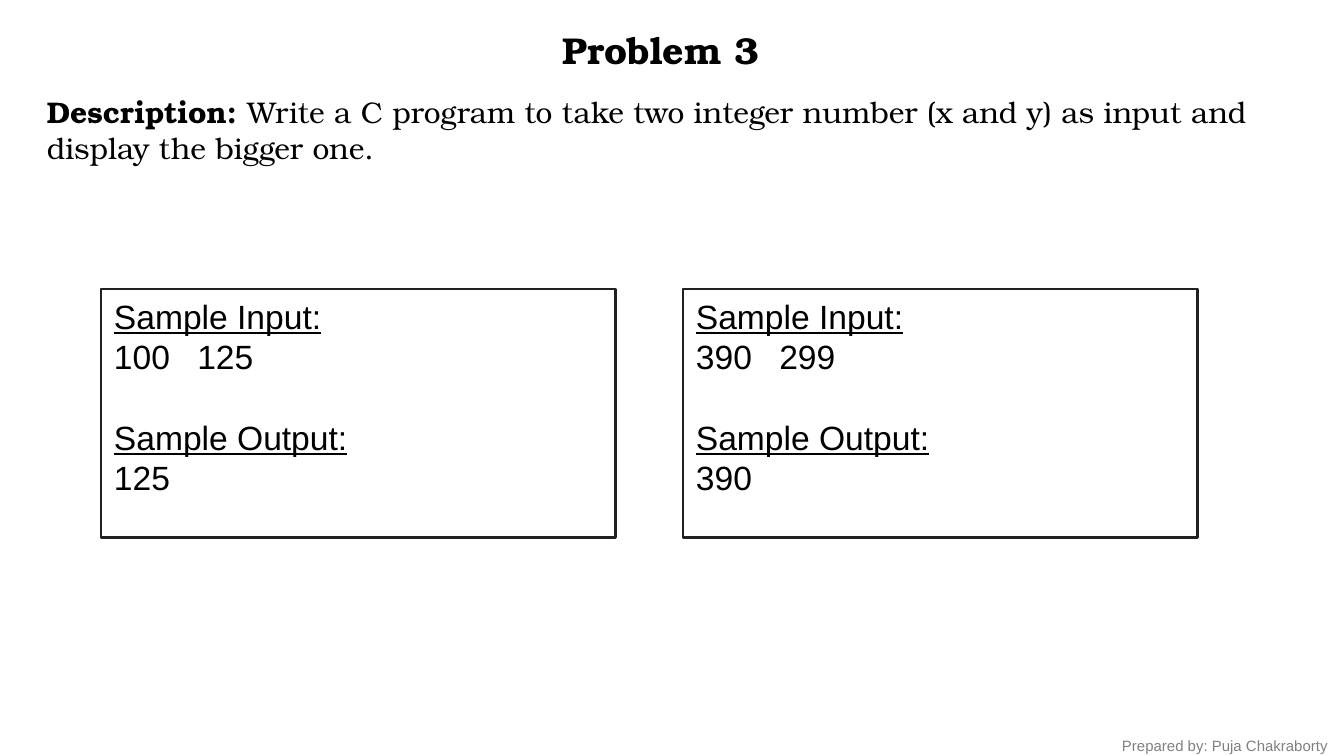
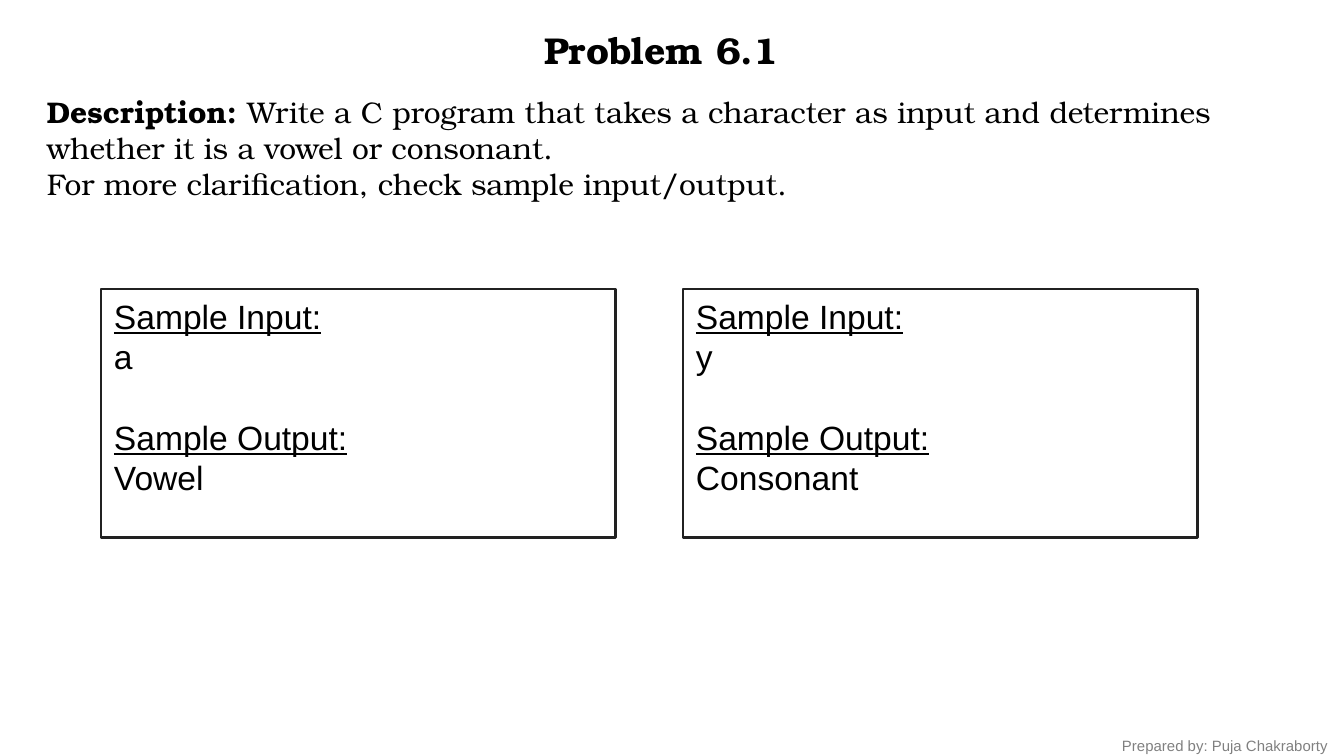
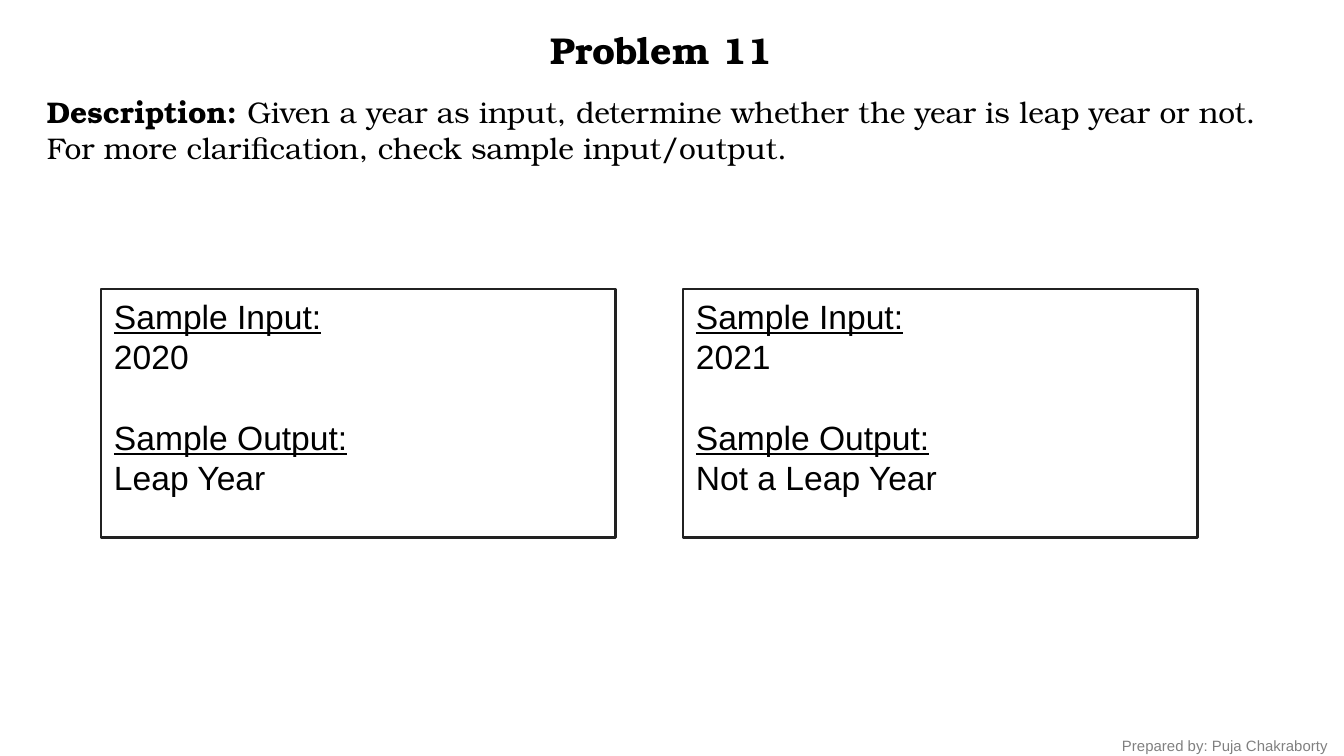
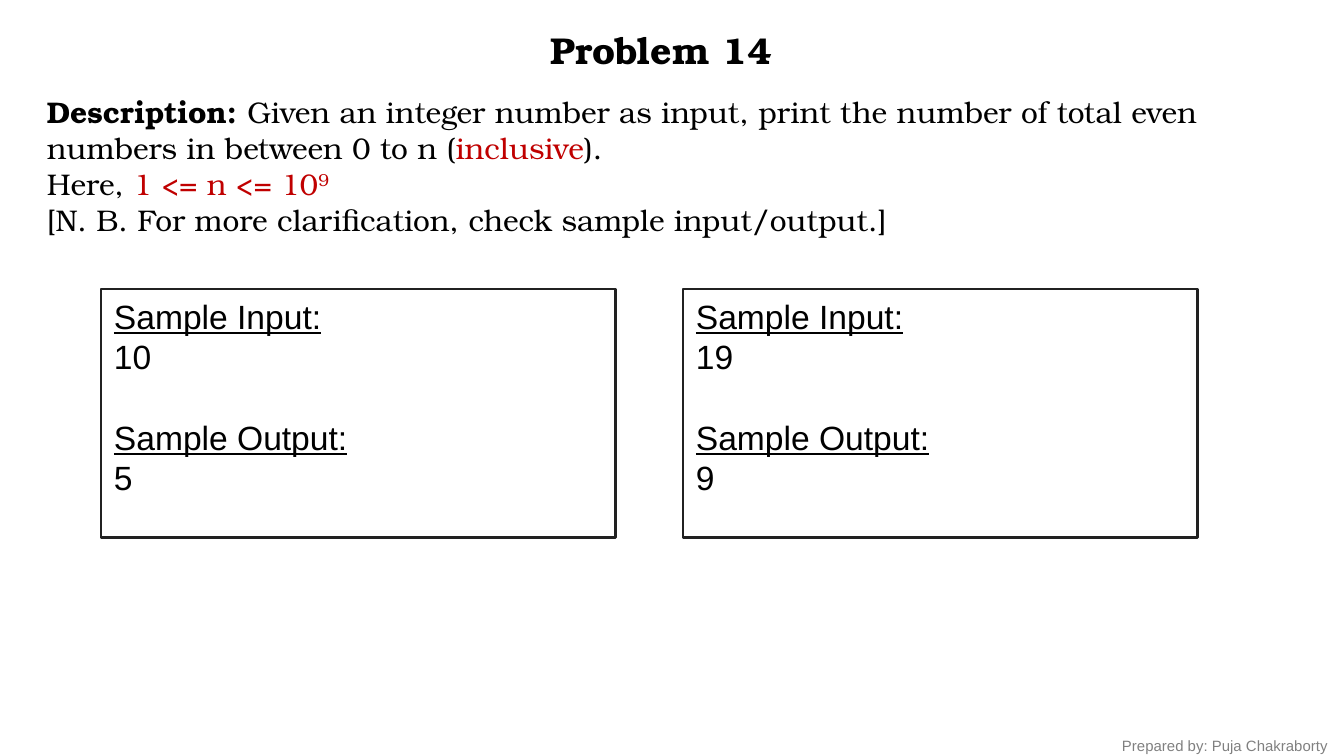
"""Builds four programming exercises, each with two sample input/output boxes."""
import pptx
import pptx.dml.color
import pptx.enum.shapes
import pptx.enum.text
import pptx.util
from lxml import etree
from pptx.util import Inches

BLACK = pptx.dml.color.RGBColor(0x00, 0x00, 0x00)
RED = pptx.dml.color.RGBColor(0xC0, 0x00, 0x00)
GREY = pptx.dml.color.RGBColor(0x80, 0x80, 0x80)
OUTLINE = pptx.dml.color.RGBColor(0x21, 0x21, 0x21)
SERIF = "TeX Gyre Bonum"
SANS = "Arial"
DRAWING = "http://schemas.openxmlformats.org/drawingml/2006/main"
CLARIFICATION = "For more clarification, check sample input/output."

PROBLEMS = [
    ("Problem 3", 0.64,
     [[("Write a C program to take two integer number (x and y) as input and display the bigger one.", BLACK)]],
     [("100\t125", "125"), ("390\t299", "390")]),
    ("Problem 6.1", 0.91,
     [[("Write a C program that takes a character as input and determines whether it is a vowel or consonant.", BLACK)],
      [(CLARIFICATION, BLACK)]],
     [("a", "Vowel"), ("y", "Consonant")]),
    ("Problem 11", 0.91,
     [[("Given a year as input, determine whether the year is leap year or not.", BLACK)],
      [(CLARIFICATION, BLACK)]],
     [("2020", "Leap Year"), ("2021", "Not a Leap Year")]),
    ("Problem 14", 1.18,
     [[("Given an integer number as input, print the number of total even numbers in between 0 to n (", BLACK),
       ("inclusive", RED), (").", BLACK)],
      [("Here, ", BLACK), ("1 <= n <= 10", RED), ("9", RED)],
      [(f"[N. B. {CLARIFICATION}]", BLACK)]],
     [("10", "5"), ("19", "9")]),
]


def style(paragraph, name, size, color, alignment=pptx.enum.text.PP_ALIGN.LEFT):
    paragraph.alignment = alignment
    paragraph.font.name = name
    paragraph.font.size = pptx.util.Pt(size)
    paragraph.font.color.rgb = color


def prepare(box):
    frame = box.text_frame
    frame.word_wrap = True
    frame.auto_size = pptx.enum.text.MSO_AUTO_SIZE.NONE
    frame.vertical_anchor = pptx.enum.text.MSO_ANCHOR.TOP
    return frame


deck = pptx.Presentation()
deck.slide_width = Inches(10)
deck.slide_height = deck.slide_width * 9 // 16

for heading, height, description, samples in PROBLEMS:
    page = deck.slides.add_slide(deck.slide_layouts[5])

    title = page.shapes.title
    title.left, title.top = Inches(2.17), Inches(0.15)
    title.width, title.height = Inches(5.5), Inches(0.44)
    frame = prepare(title)
    frame.text = heading
    style(frame.paragraphs[0], SERIF, 20, BLACK, pptx.enum.text.PP_ALIGN.CENTER)
    frame.paragraphs[0].font.bold = True

    box = page.shapes.add_textbox(Inches(0.25), Inches(0.65), Inches(9.58), Inches(height))
    frame = prepare(box)
    for index, spans in enumerate(description):
        para = frame.add_paragraph() if index else frame.paragraphs[0]
        style(para, SERIF, 16, BLACK)
        if index == 0:
            label = para.add_run()
            label.text = "Description: "
            label.font.bold = True
        for text, color in spans:
            span = para.add_run()
            span.text = text
            span.font.color.rgb = color
            if text == "9":
                span.font._element.set("baseline", "30000")

    footer = page.shapes.add_textbox(Inches(8.25), Inches(5.43), Inches(1.83), Inches(0.24))
    frame = prepare(footer)
    frame.text = "Prepared by: Puja Chakraborty"
    style(frame.paragraphs[0], SANS, 8, GREY)

    for column, (given, expected) in enumerate(samples):
        sample = page.shapes.add_shape(pptx.enum.shapes.MSO_SHAPE.RECTANGLE,
                                       Inches(0.75 + 4.33 * column), Inches(2.15), Inches(3.83), Inches(1.85))
        sample.shadow.inherit = False
        sample.fill.background()
        sample.line.color.rgb = OUTLINE
        sample.line.width = pptx.util.Pt(1.25)
        frame = prepare(sample)
        frame.text = "\n".join(["Sample Input:", given, "Sample Output:", expected])
        for index, para in enumerate(frame.paragraphs):
            if "\t" in para.text:
                properties = para._p.get_or_add_pPr()
                stops = etree.SubElement(properties, f"{{{DRAWING}}}tabLst")
                etree.SubElement(stops, f"{{{DRAWING}}}tab", pos=str(Inches(0.62)), algn="l")
            style(para, SANS, 18, BLACK)
            para.font.underline = index % 2 == 0
        frame.paragraphs[2].space_before = pptx.util.Pt(21.6)

deck.save("out.pptx")
